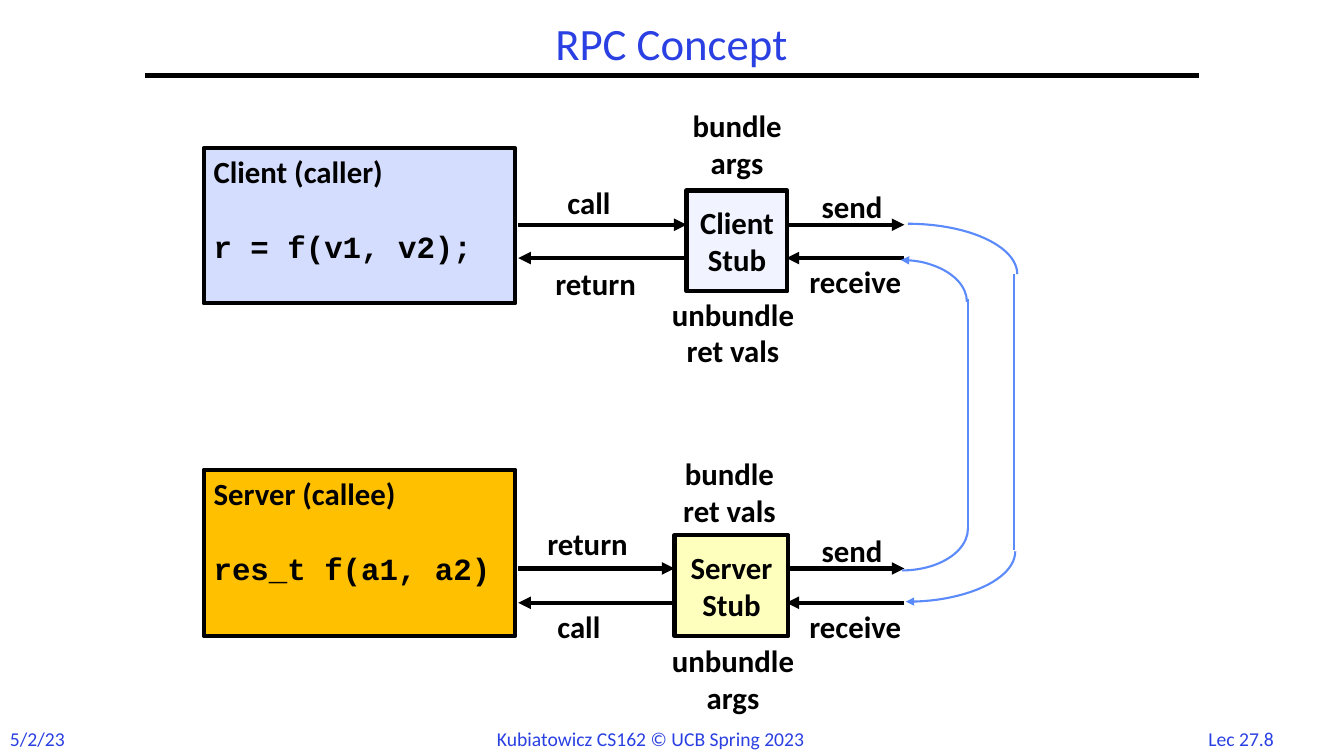
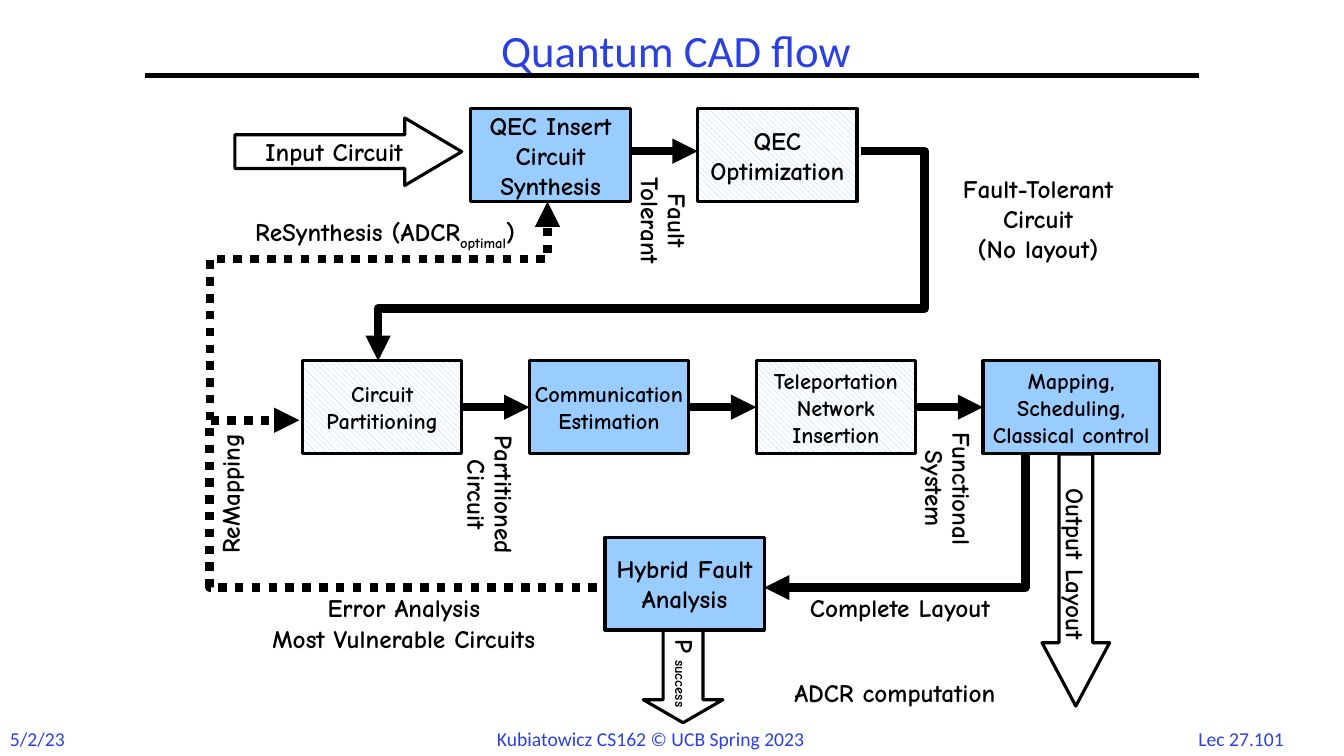
from lxml import etree
from pptx import Presentation
from pptx.dml.color import RGBColor
from pptx.enum.dml import MSO_LINE, MSO_PATTERN
from pptx.enum.shapes import MSO_CONNECTOR, MSO_SHAPE
from pptx.enum.text import MSO_ANCHOR, MSO_AUTO_SIZE, PP_ALIGN
from pptx.oxml.ns import qn
from pptx.util import Inches, Pt

# Shared style
BLUE, BLACK, WIRE, BOX_BLUE = "2A40E2", "000000", "5B8AFB", "99CCFF"
SANS, CODE, COMIC = "Calibri", "Courier New", "Comic Neue"
LEFT, CENTER = PP_ALIGN.LEFT, PP_ALIGN.CENTER
COURSE, DATE = "Kubiatowicz CS162 © UCB Spring 2023", "5/2/23"

# RPC slide: programs, stubs, messages
PROGRAMS = [  # heading, code, top, height, fill
    ("Client (caller)", "r = f(v1, v2);", 1.47, 1.54, "D4DDFE"),
    ("Server (callee)", "res_t f(a1, a2)", 4.66, 1.65, "FFC000"),
]
STUBS = [  # text, box, fill, y of outgoing and incoming arrows
    ("Client\nStub", (6.81, 1.89, 1, 1), "F1F4FF", 2.23, 2.56),
    ("Server\nStub", (6.69, 5.31, 1.13, 1), "FFFFBD", 5.64, 5.98),
]
RPC_LABELS = [  # text, box, alignment
    ("call", (5.53, 1.77, 0.68, 0.47), LEFT),
    ("return", (5.41, 2.58, 1.13, 0.47), LEFT),
    ("send", (8.05, 1.81, 0.86, 0.47), LEFT),
    ("receive", (7.93, 2.56, 1.23, 0.47), LEFT),
    ("return", (5.33, 5.16, 1.13, 0.47), LEFT),
    ("call", (5.43, 5.98, 0.69, 0.47), LEFT),
    ("send", (8.05, 5.23, 0.86, 0.47), LEFT),
    ("receive", (7.93, 5.98, 1.23, 0.47), LEFT),
    ("bundle\nargs", (6.72, 1.01, 1.18, 0.84), CENTER),
    ("unbundle\nret vals", (6.5, 2.88, 1.54, 0.84), CENTER),
    ("bundle\nret vals", (6.61, 4.46, 1.25, 0.84), CENTER),
    ("unbundle\nargs", (6.5, 6.32, 1.54, 0.84), CENTER),
]
ARCS = [  # box, flipped, arrowhead
    ((7.92, 2.22, 2.17, 1), False, False),
    ((7.9, 4.97, 2.17, 1), True, True),
    ((8.29, 4.83, 1.31, 0.83), True, False),
    ((8.28, 2.58, 1.31, 0.83), False, True),
]
NETWORK_LINES = [((10.06, 2.72), (10.06, 5.46)), ((9.6, 5.25), (9.6, 2.97))]

# CAD slide: stages, arrows, labels; ~ encloses a subscript
STAGE_W, STAGE_H, ROW_1, ROW_2 = 1.58, 0.92, 1.08, 3.58
STAGES = [  # text, left, top, width, size, hatched
    ("QEC Insert\nCircuit\nSynthesis", 4.67, ROW_1, STAGE_W, 18, False),
    ("QEC\nOptimization", 6.92, ROW_1, STAGE_W, 18, True),
    ("Circuit\nPartitioning", 3, ROW_2, STAGE_W, 16, True),
    ("Communication\nEstimation", 5.25, ROW_2, STAGE_W, 16, False),
    ("Teleportation\nNetwork\nInsertion", 7.5, ROW_2, STAGE_W, 16, True),
    ("Mapping,\nScheduling,\nClassical control", 9.75, ROW_2, 1.75, 16, False),
    ("Hybrid Fault\nAnalysis", 6, 5.33, STAGE_W, 18, False),
]
FLOW_ARROWS = [((6.25, 1.5), (6.92, 1.5))] + [
    ((x, 4.04), (x + 0.67, 4.04)) for x in (4.58, 6.83, 9.08)]
FLOW_PATHS = [  # points, dotted
    ([(2.08, 4.17), (2.08, 2.57), (5.43, 2.57), (5.43, 2)], True),
    ([(5.92, 5.83), (2.08, 5.83), (2.08, 4.17), (2.97, 4.17)], True),
    ([(10.17, 4.5), (10.17, 5.83), (7.58, 5.83)], False),
    ([(8.54, 1.5), (9.17, 1.5), (9.17, 3.06), (3.75, 3.06), (3.75, 3.58)], False),
]
BLOCK_ARROWS = [  # text, shape, box, rotation, head length, text direction
    ("Input Circuit", MSO_SHAPE.RIGHT_ARROW, (2.33, 1.17, 2.25, 0.67), 0, 0.844, "horz"),
    ("Output Layout", MSO_SHAPE.RIGHT_ARROW, (9.42, 5.42, 2.5, 0.67), 90, 0.938, "horz"),
    ("P~success~", MSO_SHAPE.DOWN_ARROW, (6.38, 6.25, 0.79, 0.92), 0, 0.289, "eaVert"),
]
CAD_LABELS = [  # text, box, rotation, line spacing
    ("ReSynthesis (ADCR~optimal~)", (2.22, 2.1, 3.2, 0.4), 0, 1),
    ("Complete Layout", (7.83, 5.83, 2.19, 0.4), 0, 1),
    ("ReMapping", (1.55, 4.7, 1.46, 0.4), 270, 1),
    ("Error Analysis\nMost Vulnerable Circuits", (2.42, 5.83, 3.17, 0.7), 0, 1),
    ("Fault-Tolerant\nCircuit\n(No layout)", (9.25, 1.67, 2.09, 1), 0, 1),
    ("Partitioned\nCircuit", (4.09, 4.59, 1.52, 0.64), 90, 0.9),
    ("Functional\nSystem", (8.69, 4.53, 1.4, 0.64), 90, 0.9),
    ("Fault\nTolerant", (5.96, 1.87, 1.22, 0.64), 90, 0.9),
    ("ADCR computation", (7.67, 6.67, 2.41, 0.4), 0, 1),
]


def rgb(color):
    return RGBColor.from_string(color)


def inches(values):
    return [Inches(v) for v in values]


def write(sp, text, size, font, color=BLACK, bold=True, align=CENTER,
          anchor=MSO_ANCHOR.MIDDLE, spacing=1):
    tf = sp.text_frame
    tf.word_wrap = False
    tf.vertical_anchor = anchor
    for i, line in enumerate(text.split("\n")):
        p = tf.add_paragraph() if i else tf.paragraphs[0]
        p.alignment, p.line_spacing = align, spacing
        for j, part in enumerate(line.split("~")):
            if not part:
                continue
            r = p.add_run()
            r.text = part
            r.font.size, r.font.name, r.font.bold = Pt(size), font, bold
            r.font.color.rgb = rgb(color)
            if j % 2:
                r.font._element.set("baseline", "-25000")
    return tf


def label(s, text, box, size, font, rotation=0, **style):
    sp = s.shapes.add_textbox(*inches(box))
    sp.rotation = rotation
    write(sp, text, size, font, anchor=MSO_ANCHOR.TOP, **style)
    sp.text_frame.auto_size = MSO_AUTO_SIZE.SHAPE_TO_FIT_TEXT


def stroke(sp, color, width, dotted=False, end=None):
    sp.line.color.rgb = rgb(color)
    sp.line.width = Pt(width)
    if dotted:
        sp.line.dash_style = MSO_LINE.ROUND_DOT
    if end:
        etree.SubElement(sp.line._get_or_add_ln(), qn(f"a:{end}End"), type="triangle")


def shape(s, kind, box, color, width, fill=None, hatched=False, **ends):
    sp = s.shapes.add_shape(kind, *inches(box))
    sp.shadow.inherit = False
    if hatched:
        sp.fill.patterned()
        sp.fill.pattern = MSO_PATTERN.WIDE_DOWNWARD_DIAGONAL
        sp.fill.fore_color.rgb = rgb(fill)
        sp.fill.back_color.rgb = rgb("FFFFFF")
    elif fill:
        sp.fill.solid()
        sp.fill.fore_color.rgb = rgb(fill)
    else:
        sp.fill.background()
    stroke(sp, color, width, **ends)
    return sp


def line(s, start, stop, color=BLACK, width=3, end=None):
    sp = s.shapes.add_connector(MSO_CONNECTOR.STRAIGHT, *inches(start + stop))
    stroke(sp, color, width, end=end)
    etree.SubElement(sp._element.spPr, qn("a:effectLst"))


def polyline(s, points, dotted):
    first, *rest = [tuple(inches(pt)) for pt in points]
    builder = s.shapes.build_freeform(*first)
    builder.add_line_segments(rest, close=False)
    sp = builder.convert_to_shape()
    sp.shadow.inherit = False
    sp.fill.background()
    stroke(sp, BLACK, 6, dotted, "tail")


def new_slide(prs, title, title_box, number):
    s = prs.slides.add_slide(prs.slide_layouts[6])
    line(s, (1.44, 0.75), (11.89, 0.75))
    for text, box, align in [(DATE, (0, 7.16, 0.75, 0.34), LEFT),
                             (COURSE, (4.83, 7.16, 3.68, 0.34), LEFT),
                             (f"Lec 27.{number}", (11.77, 7.16, 1.08, 0.33), CENTER)]:
        label(s, text, box, 14, SANS, color=BLUE, bold=False, align=align)
    sp = s.shapes.add_textbox(*inches(title_box))
    write(sp, title, 32, SANS, BLUE, False, spacing=0.9).word_wrap = True
    return s


def rpc_slide(prs):
    s = new_slide(prs, "RPC Concept", (1.44, 0.17, 10.44, 0.58), 8)
    # Client and server programs
    for heading, code, top, height, fill in PROGRAMS:
        sp = shape(s, MSO_SHAPE.RECTANGLE, (2.02, top, 3.09, height), BLACK, 3, fill)
        tf = write(sp, f"{heading}\n{code}", 22, SANS, align=LEFT, anchor=MSO_ANCHOR.TOP)
        p = tf.paragraphs[1]
        p.space_before = Pt(27)
        p.runs[0].font.name = CODE
    # Stubs with a pair of arrows on each side
    for text, box, fill, out_y, in_y in STUBS:
        for left, right in [(5.14, box[0]), (7.8, 8.97)]:
            line(s, (left, out_y), (right, out_y), end="tail")
            line(s, (right, in_y), (left, in_y), end="tail")
        write(shape(s, MSO_SHAPE.RECTANGLE, box, BLACK, 3, fill), text, 22, SANS)
    for text, box, align in RPC_LABELS:
        label(s, text, box, 22, SANS, align=align)
    # Network loop
    for box, flipped, arrowhead in ARCS:
        sp = shape(s, MSO_SHAPE.ARC, box, WIRE, 1.5, end="head" if arrowhead else None)
        if flipped:
            sp._element.spPr.find(qn("a:xfrm")).set("flipV", "1")
    for start, stop in NETWORK_LINES:
        line(s, start, stop, WIRE, 1.5)


def cad_slide(prs):
    s = new_slide(prs, "Quantum CAD flow", (2.83, 0.25, 7.75, 0.55), 101)
    # Stages
    for text, left, top, width, size, hatched in STAGES:
        sp = shape(s, MSO_SHAPE.RECTANGLE, (left, top, width, STAGE_H),
                   BLACK, 2.25, BOX_BLUE, hatched)
        write(sp, text, size, COMIC)
    # Block arrows for inputs and results
    for text, kind, box, rotation, head, direction in BLOCK_ARROWS:
        sp = shape(s, kind, box, BLACK, 2.25)
        sp.rotation = rotation
        sp.adjustments[0], sp.adjustments[1] = 0.5, head
        write(sp, text, 18, COMIC)._txBody.bodyPr.set("vert", direction)
    # Flow between stages
    for start, stop in FLOW_ARROWS:
        line(s, start, stop, width=6, end="tail")
    for points, dotted in FLOW_PATHS:
        polyline(s, points, dotted)
    for text, box, rotation, spacing in CAD_LABELS:
        label(s, text, box, 18, COMIC, rotation, spacing=spacing)


def main():
    prs = Presentation()
    prs.slide_width, prs.slide_height = Inches(13.33), Inches(7.5)
    rpc_slide(prs)
    cad_slide(prs)
    prs.save("out.pptx")


if __name__ == "__main__":
    main()
